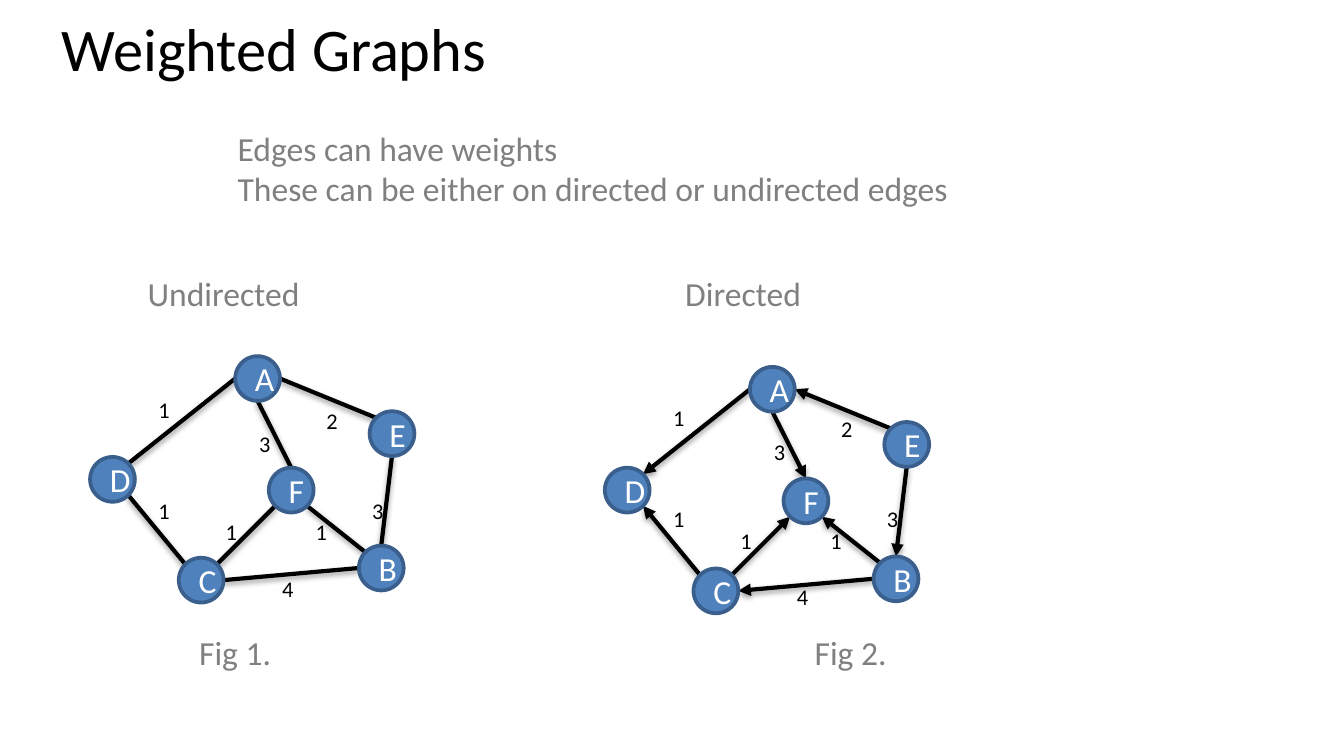
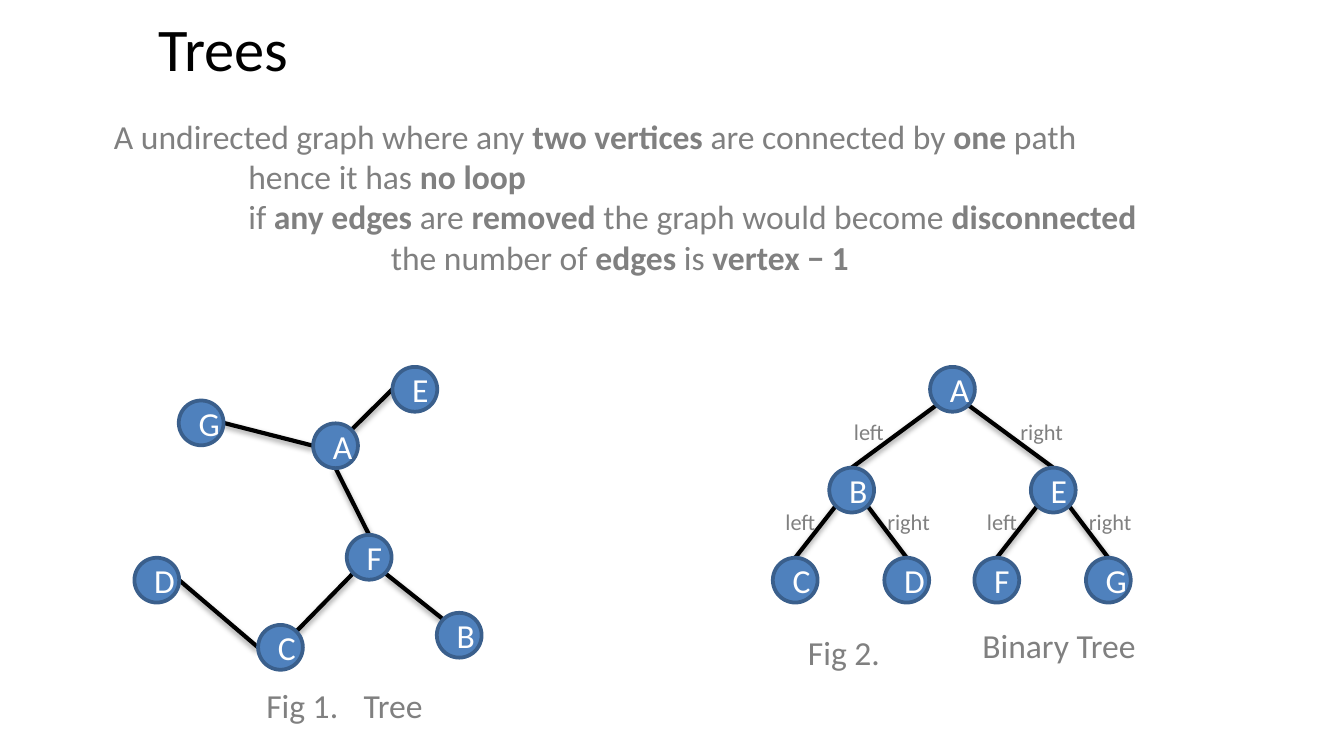
"""Build two slides on weighted graphs and trees."""
from math import sqrt

from lxml.etree import SubElement
from pptx import Presentation
from pptx.dml.color import RGBColor
from pptx.enum.shapes import MSO_CONNECTOR, MSO_SHAPE
from pptx.enum.text import MSO_ANCHOR, MSO_AUTO_SIZE, PP_ALIGN
from pptx.oxml.ns import qn
from pptx.util import Inches, Pt

FONT = "Calibri"
BLACK, GREY, WHITE = "000000", "808080", "FFFFFF"
NODE_FILL, NODE_LINE = "4F81BD", "3A5F8C"
LEFT, CENTER = PP_ALIGN.LEFT, PP_ALIGN.CENTER
RADIUS = 1 / 6
DIAGONAL = RADIUS / sqrt(2)
SITES = {
    "n": (0, -RADIUS), "s": (0, RADIUS), "w": (-RADIUS, 0), "e": (RADIUS, 0),
    "nw": (-DIAGONAL, -DIAGONAL), "ne": (DIAGONAL, -DIAGONAL),
    "sw": (-DIAGONAL, DIAGONAL), "se": (DIAGONAL, DIAGONAL),
}


def write_text(frame, lines, size, color, align):
    """Write lines of (indent, runs), where each run is (text, bold)."""
    for index, (indent, runs) in enumerate(lines):
        paragraph = frame.paragraphs[0] if index == 0 else frame.add_paragraph()
        paragraph.alignment = align
        if indent:
            paragraph._p.get_or_add_pPr().set("marL", str(Inches(indent)))
        for text, bold in runs:
            run = paragraph.add_run()
            run.text = text
            run.font.name = FONT
            run.font.size = Pt(size)
            run.font.bold = bold
            run.font.color.rgb = RGBColor.from_string(color)


def add_text(slide, box, lines, size=18, color=GREY, align=LEFT, wrap=True):
    """Add a text box that grows with its text."""
    frame = slide.shapes.add_textbox(*map(Inches, box)).text_frame
    frame.word_wrap = wrap
    frame.auto_size = MSO_AUTO_SIZE.SHAPE_TO_FIT_TEXT
    write_text(frame, lines, size, color, align)


presentation = Presentation()
presentation.slide_width = Inches(10)
presentation.slide_height = Inches(10 * 9 / 16)

slides = []
for title, left, width in [("Weighted Graphs", 0.25, 3.58), ("Trees", 0.08, 3.17)]:
    slide = presentation.slides.add_slide(presentation.slide_layouts[5])
    shape = slide.shapes.title
    shape.left, shape.top = Inches(left), Inches(0.06)
    shape.width, shape.height = Inches(width), Inches(0.59)
    shape.text_frame.word_wrap = True
    shape.text_frame.auto_size = MSO_AUTO_SIZE.NONE
    shape.text_frame.vertical_anchor = MSO_ANCHOR.MIDDLE
    write_text(shape.text_frame, [(0, [(title, False)])], 32.4, BLACK, CENTER)
    slides.append(slide)
weighted_slide, tree_slide = slides

add_text(weighted_slide, (1.67, 0.9, 6, 0.71), [
    (0, [("Edges can have weights", False)]),
    (0, [("These can be either on directed or undirected edges", False)]),
])
add_text(tree_slide, (0.75, 0.81, 8.17, 1.31), [
    (0, [("A undirected graph where any ", False), ("two vertices ", True),
         ("are connected by ", False), ("one", True), (" path", False)]),
    (1, [("hence it has ", False), ("no loop", True)]),
    (1, [("if ", False), ("any edges", True), (" are ", False), ("removed", True),
         (" the graph would become ", False), ("disconnected", True)]),
    (2.06, [("the number of ", False), ("edges", True), (" is ", False),
            ("vertex\u00a0\u2212\u00a01", True)]),
])

weighted_nodes = {"A": (1.75, 2.65), "C": (1.33, 4.15), "B": (2.67, 4.06),
                  "D": (0.67, 3.4), "E": (2.75, 3.06), "F": (2, 3.48)}
weighted_edges = ["A w D ne", "C nw D se", "C ne F sw", "B nw F se",
                  "E s B n", "E nw A e", "B w C e", "A s F n"]
weights = [("1", 1.08, 2.9), ("1", 1.08, 3.65), ("3", 1.83, 3.15), ("2", 2.33, 2.98),
           ("3", 2.67, 3.65), ("4", 2, 4.23), ("1", 1.58, 3.81), ("1", 2.25, 3.81)]
tree_nodes = {"G": (1.33, 2.98), "A": (2.33, 3.15), "E": (2.92, 2.73), "F": (2.58, 3.98),
              "B": (3.25, 4.56), "C": (1.92, 4.65), "D": (1, 4.15)}
tree_edges = ["C w D e", "C ne F sw", "B nw F se", "E w A ne", "A w G e", "A s F n"]
binary_nodes = {"G": (8.08, 4.15), "A": (6.92, 2.73), "E": (7.67, 3.48), "F": (7.25, 4.15),
                "B": (6.17, 3.48), "C": (5.75, 4.15), "D": (6.58, 4.15)}
binary_edges = ["B se D n", "E sw F n", "B n A sw", "E n A se", "E se G n", "C n B sw"]

graphs = [
    (weighted_slide, weighted_nodes, weighted_edges, 0, 0, False),
    (weighted_slide, weighted_nodes, weighted_edges, 3.83, 0.08, True),
    (tree_slide, tree_nodes, tree_edges, 0, 0, False),
    (tree_slide, binary_nodes, binary_edges, 0, 0, False),
]
for slide, nodes, edges, shift_x, shift_y, directed in graphs:
    for edge in edges:
        start, start_site, end, end_site = edge.split()
        points = []
        for node, site in [(start, start_site), (end, end_site)]:
            points.append(Inches(nodes[node][0] + shift_x + RADIUS + SITES[site][0]))
            points.append(Inches(nodes[node][1] + shift_y + RADIUS + SITES[site][1]))
        connector = slide.shapes.add_connector(MSO_CONNECTOR.STRAIGHT, *points)
        connector.line.width = Pt(2.25)
        connector.line.color.rgb = RGBColor.from_string(BLACK)
        properties = connector._element.spPr
        if directed:
            SubElement(properties.find(qn("a:ln")), qn("a:tailEnd"), type="triangle")
        effects = SubElement(properties, qn("a:effectLst"))
        shadow = SubElement(effects, qn("a:outerShdw"), blurRad=str(Pt(3.1)),
                            dist=str(Pt(1.6)), dir="5400000", rotWithShape="0")
        shadow_color = SubElement(shadow, qn("a:srgbClr"), val=BLACK)
        SubElement(shadow_color, qn("a:alpha"), val="38000")
    for name, (left, top) in nodes.items():
        shape = slide.shapes.add_shape(
            MSO_SHAPE.OVAL, Inches(left + shift_x), Inches(top + shift_y),
            Inches(2 * RADIUS), Inches(2 * RADIUS))
        shape.shadow.inherit = False
        shape.fill.solid()
        shape.fill.fore_color.rgb = RGBColor.from_string(NODE_FILL)
        shape.line.color.rgb = RGBColor.from_string(NODE_LINE)
        shape.line.width = Pt(2)
        shape.text_frame.vertical_anchor = MSO_ANCHOR.MIDDLE
        write_text(shape.text_frame, [(0, [(name, False)])], 18, WHITE, CENTER)

for shift_x, shift_y in [(0, 0), (3.83, 0.06)]:
    for weight, left, top in weights:
        add_text(weighted_slide, (left + shift_x, top + shift_y, 0.29, 0.3),
                 [(0, [(weight, False)])], 12, BLACK, wrap=False)

for text, left in [("Directed", 5), ("Undirected", 1)]:
    add_text(weighted_slide, (left, 1.98, 1.42, 0.4), [(0, [(text, False)])])

for parent_left, top, gap in [(6.92, 3.06, 0.24), (6.17, 3.73, 0), (7.67, 3.73, 0)]:
    for text, left, width in [("left", parent_left - 0.43 - gap, 0.43),
                              ("right", parent_left + 0.33 + gap, 0.52)]:
        add_text(tree_slide, (left, top, width, 0.3), [(0, [(text, False)])],
                 12, GREY, CENTER, wrap=False)

captions = [
    (weighted_slide, "Fig 1.", 1.25, 4.65, 1, True),
    (weighted_slide, "Fig 2.", 5.83, 4.65, 1, True),
    (tree_slide, "Tree", 2.6, 5.05, 0.65, False),
    (tree_slide, "Binary Tree", 7.2, 4.6, 1.36, False),
    (tree_slide, "Fig 1.", 1.75, 5.05, 1, True),
    (tree_slide, "Fig 2.", 5.78, 4.65, 1, True),
]
for slide, text, left, top, width, wrap in captions:
    add_text(slide, (left, top, width, 0.4), [(0, [(text, False)])],
             align=CENTER, wrap=wrap)

presentation.save("out.pptx")
